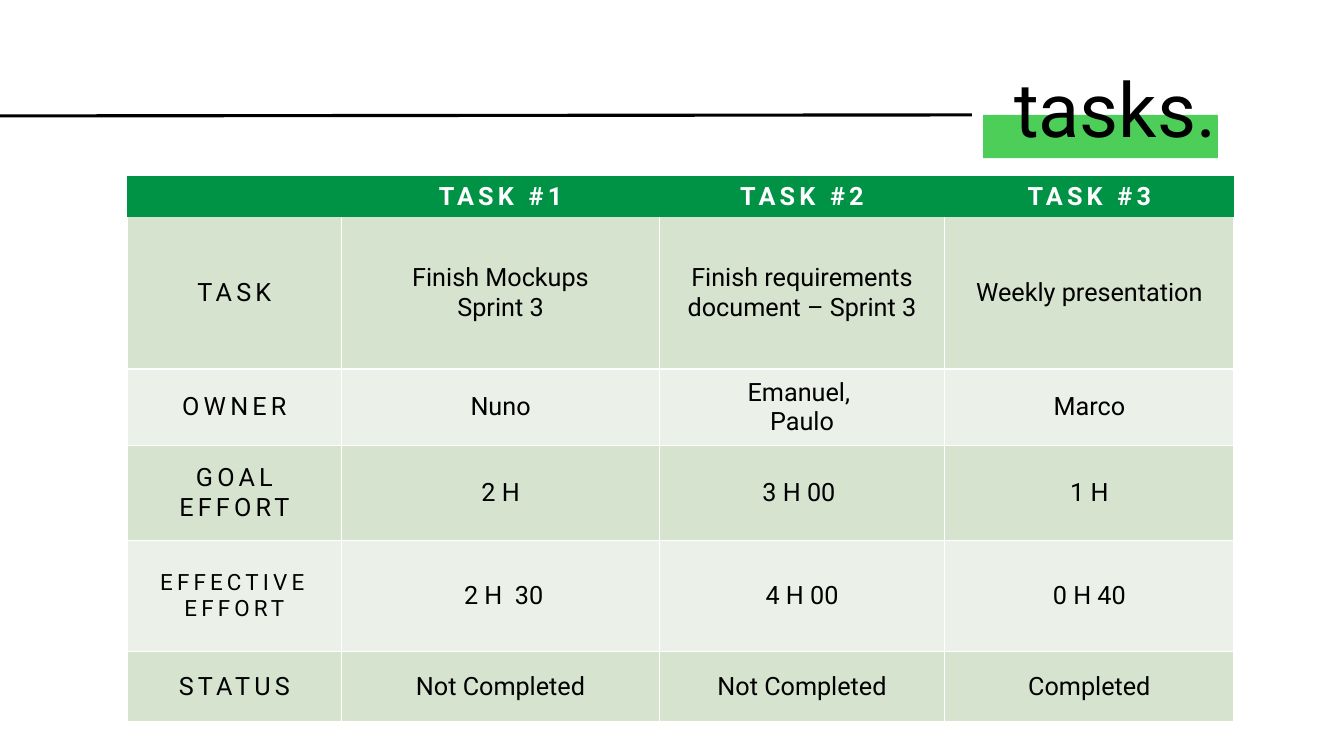
from dataclasses import dataclass

from lxml.etree import SubElement
from pptx import Presentation
from pptx.dml.color import RGBColor as Color
from pptx.enum.shapes import MSO_CONNECTOR as Connector, MSO_SHAPE as Shape
from pptx.enum.text import MSO_ANCHOR as Anchor, PP_ALIGN as Align
from pptx.oxml.ns import qn
from pptx.util import Emu, Pt

PX = 9144
NO_STYLE = "{2D5ABB26-0587-4C30-8999-92F81FD0307C}"
COLUMNS = (213, 315, 283, 287)
ROWS = (40, 151, 76, 94, 110, 70)
CELLS = (
    ("", "TASK #1", "TASK #2", "TASK #3"),
    ("TASK", "Finish Mockups\nSprint 3",
     "Finish requirements document – Sprint 3", "Weekly presentation"),
    ("OWNER", "Nuno", "Emanuel, \nPaulo", "Marco"),
    ("GOAL\nEFFORT", "2 H", "3 H 00 ", "1 H"),
    ("EFFECTIVE EFFORT", " 2 H  30", "4 H 00", "0 H 40"),
    ("STATUS", "Not Completed", "Not Completed", "Completed"),
)


@dataclass(frozen=True)
class Theme:
    """Colours, font and type sizes of the slide."""
    font: str = "Roboto"
    ink: str = "000000"
    paper: str = "FFFFFF"
    accent: str = "4DCE59"
    header: str = "009245"
    bands: tuple = ("EBF1E9", "D5E3CF")
    title: int = 54
    body: int = 18
    small: int = 16
    tracking: int = 300
    rule: float = 2.25
    border: int = 1


THEME = Theme()


def px(*lengths):
    """Turn pixel lengths into EMU."""
    return [Emu(length * PX) for length in lengths]


def style_text(frame, size, color, bold=False, tracking=0):
    """Format every run of a text frame."""
    for para in frame.paragraphs:
        for span in para.runs:
            span.font.name = THEME.font
            span.font.size = Pt(size)
            span.font.bold = bold
            span.font.color.rgb = Color.from_string(color)
            if tracking:
                span.font._element.set("spc", str(tracking))


def add_heading(page, left, top, width, height):
    """Place the rule, the highlight and the title in a band."""
    highlight = page.shapes.add_shape(
        Shape.RECTANGLE, *px(left + 975, top + 74, 233, 43))
    highlight.shadow.inherit = False
    highlight.fill.solid()
    highlight.fill.fore_color.rgb = Color.from_string(THEME.accent)
    highlight.line.fill.background()

    rule = page.shapes.add_connector(
        Connector.STRAIGHT, *px(left, top + 75, left + 964, top + 74))
    rule.line.color.rgb = Color.from_string(THEME.ink)
    rule.line.width = Pt(THEME.rule)
    SubElement(rule._element.spPr, qn("a:effectLst"))

    title_left = 996
    box = page.shapes.add_textbox(
        *px(left + title_left, top, width - title_left, height))
    frame = box.text_frame
    frame.word_wrap = True
    frame.vertical_anchor = Anchor.MIDDLE
    frame.text = "tasks."
    frame.paragraphs[0].line_spacing = 0.9
    style_text(frame, THEME.title, THEME.ink)


def add_borders(cell):
    """Draw the left, right and bottom borders of a cell."""
    properties = cell._tc.get_or_add_tcPr()
    for side in ("a:lnL", "a:lnR", "a:lnB"):
        line = SubElement(properties, qn(side), w=str(Pt(THEME.border)))
        fill = SubElement(line, qn("a:solidFill"))
        SubElement(fill, qn("a:srgbClr"), val=THEME.paper)


def fill_cell(cell, text, row, column):
    """Write and format one cell by its place in the table."""
    is_header = row == 0
    is_label = is_header or column == 0
    if not is_header:
        add_borders(cell)
    cell.vertical_anchor = Anchor.MIDDLE
    cell.fill.solid()
    cell.fill.fore_color.rgb = Color.from_string(
        THEME.header if is_header else THEME.bands[row % 2])
    cell.text_frame.text = text
    for para in cell.text_frame.paragraphs:
        para.alignment = Align.CENTER
    style_text(
        cell.text_frame,
        THEME.small if text == "EFFECTIVE EFFORT" else THEME.body,
        THEME.paper if is_header else THEME.ink,
        is_header,
        THEME.tracking if is_label else 0)


def add_task_table(page, left, top, width, height):
    """Place the table of tasks in its box."""
    holder = page.shapes.add_table(
        len(ROWS), len(COLUMNS), *px(left, top, width, height))
    table = holder.table
    for style in holder._element.iter(qn("a:tableStyleId")):
        style.text = NO_STYLE
    for column, length in zip(table.columns, px(*COLUMNS)):
        column.width = length
    for row, length in zip(table.rows, px(*ROWS)):
        row.height = length
    for row, texts in enumerate(CELLS):
        for column, text in enumerate(texts):
            fill_cell(table.cell(row, column), text, row, column)


def main():
    """Build and save the deck."""
    deck = Presentation()
    deck.slide_width, deck.slide_height = px(1333, 750)
    page = deck.slides.add_slide(deck.slide_layouts[6])
    add_heading(page, 0, 40, 1241, 145)
    add_task_table(page, 126, 175, sum(COLUMNS), sum(ROWS))
    deck.save("out.pptx")


if __name__ == "__main__":
    main()
